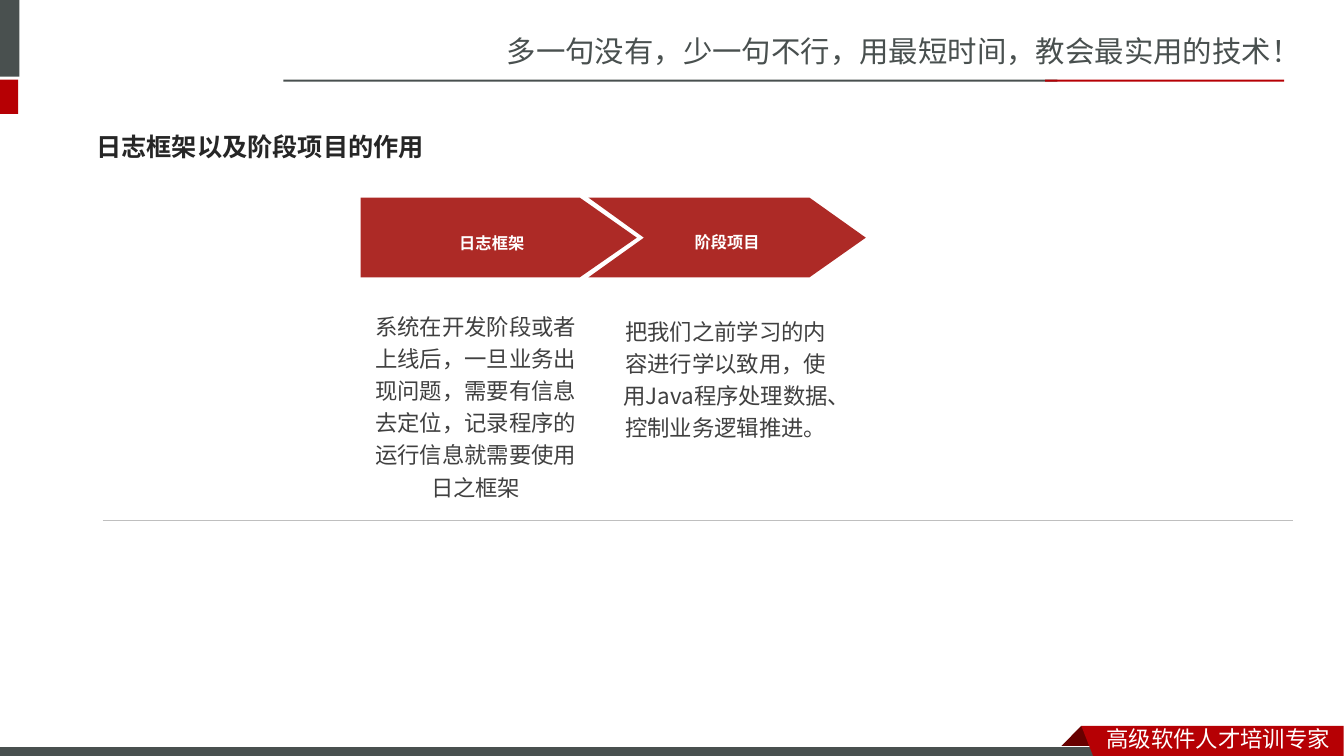
from lxml.etree import SubElement
from pptx import Presentation
from pptx.dml.color import RGBColor
from pptx.enum.lang import MSO_LANGUAGE_ID as Language
from pptx.enum.shapes import MSO_CONNECTOR as Connector, MSO_SHAPE as Shape
from pptx.enum.text import MSO_ANCHOR as Anchor, MSO_AUTO_SIZE as AutoSize, PP_ALIGN as Align
from pptx.oxml.ns import qn
from pptx.util import Cm, Pt

GREY, RED, DARK_RED, ARROW_RED = "49504F", "B60004", "680000", "AD2A26"
WHITE, INK, BODY, HAIRLINE = "FFFFFF", "262626", "404040", "BFBFBF"
SANS_SC, SANS_JP, MONO = "Noto Sans CJK SC", "Noto Sans CJK JP", "Noto Sans Mono"

LABEL = {"font": {"size": Pt(20), "bold": True, "name": SANS_JP}, "color": WHITE,
         "frame": {"vertical_anchor": Anchor.MIDDLE}, "baseline": "-3000"}
DETAIL = {"font": {"size": Pt(16), "name": SANS_JP}, "color": BODY,
          "para": {"alignment": Align.CENTER, "line_spacing": 1.2}}


def color(value):
    return RGBColor.from_string(value)


def apply(target, values):
    for name, value in values.items():
        setattr(target, name, value)


class SlideBuilder:
    """Draws styled elements on one slide, with lengths in centimetres."""

    def __init__(self, page):
        self.shapes = page.shapes

    def paint(self, shape, fill, line=None):
        shape.shadow.inherit = False
        shape.fill.solid()
        shape.fill.fore_color.rgb = color(fill)
        if line:
            shape.line.color.rgb = color(line)
            shape.line.width = Pt(0.75)
        else:
            shape.line.fill.background()

    def bar(self, left, top, width, height, fill, line=None):
        place = map(Cm, (left, top, width, height))
        self.paint(self.shapes.add_shape(Shape.RECTANGLE, *place), fill, line)

    def polygon(self, points, fill):
        start, *rest = [(Cm(x), Cm(y)) for x, y in points]
        builder = self.shapes.build_freeform(*start)
        builder.add_line_segments(rest, close=True)
        self.paint(builder.convert_to_shape(), fill)

    def arrow(self, left, shoulder, tip, notch=None):
        top, middle, bottom = 4.98, 5.99, 6.99
        points = [(left, top), (shoulder, top), (tip, middle),
                  (shoulder, bottom), (left, bottom)]
        if notch:
            points.append((notch, middle))
        self.polygon(points, ARROW_RED)

    def rule(self, left, right, y):
        line = self.shapes.add_connector(
            Connector.STRAIGHT, Cm(left), Cm(y), Cm(right), Cm(y))
        line.line.color.rgb = color(HAIRLINE)
        line.line.width = Pt(0.25)
        SubElement(line._element.spPr, qn("a:effectLst"))

    def text(self, words, place, style, **para_format):
        box = self.shapes.add_textbox(*map(Cm, place))
        frame = box.text_frame
        apply(frame, {"word_wrap": True, "auto_size": AutoSize.SHAPE_TO_FIT_TEXT,
                      **style.get("frame", {})})
        para = frame.paragraphs[0]
        apply(para, {**style.get("para", {}), **para_format})
        span = para.add_run()
        span.text = words
        apply(span.font, {"language_id": Language.SIMPLIFIED_CHINESE, **style["font"]})
        span.font.color.rgb = color(style["color"])
        properties = span._r.get_or_add_rPr()
        SubElement(properties, qn("a:ea"), typeface=style["font"]["name"])
        if "baseline" in style:
            properties.set("baseline", style["baseline"])


def main():
    deck = Presentation()
    apply(deck, {"slide_width": Cm(33.87), "slide_height": Cm(19.05)})
    slide = SlideBuilder(deck.slides.add_slide(deck.slide_layouts[6]))

    slide.text("多一句没有，少一句不行，用最短时间，教会最实用的技术！", (12.52, 0.71, 21.36, 1.19),
               {"font": {"size": Pt(21), "name": SANS_SC}, "color": GREY})
    slide.bar(-0.15, 0, 0.64, 1.93, GREY)
    slide.bar(-0.15, 2.01, 0.61, 0.86, RED)
    slide.bar(7.14, 2.01, 19.51, 0.05, GREY)
    slide.bar(26.34, 2.01, 6.02, 0.05, RED)

    slide.polygon([(27.25, 18.29), (27.81, 18.85), (27.79, 18.87),
                   (26.72, 18.87), (26.7, 18.85)], DARK_RED)
    slide.bar(-0.03, 18.82, 27.94, 0.3, GREY, WHITE)
    slide.polygon([(27.25, 18.29), (33.86, 18.29), (33.86, 19.15), (27.58, 19.13)], RED)
    slide.text("高级软件人才培训专家", (27.64, 18.16, 6.22, 0.94),
               {"font": {"size": Pt(16), "name": SANS_SC}, "color": WHITE})

    slide.arrow(9.09, 14.61, 16.05)
    slide.text("日志框架", (9.07, 5.56, 6.65, 0.84), LABEL, alignment=Align.CENTER)
    slide.arrow(14.83, 20.4, 21.82, notch=16.23)
    slide.text("阶段项目", (13.92, 5.41, 8.81, 0.91), LABEL,
               alignment=Align.CENTER, line_spacing=1.2)

    slide.rule(2.59, 32.59, 13.11)
    slide.text("把我们之前学习的内容进行学以致用，使用Java程序处理数据、控制业务逻辑推进。",
               (15.37, 7.75, 5.84, 3.53), DETAIL)
    slide.text("日志框架以及阶段项目的作用", (2.18, 2.97, 10.36, 1.45),
               {"font": {"size": Pt(18), "bold": True, "name": MONO}, "color": INK,
                "frame": {"vertical_anchor": Anchor.MIDDLE, "auto_size": AutoSize.NONE}},
               space_before=Pt(3.6))
    slide.text("系统在开发阶段或者上线后，一旦业务出现问题，需要有信息去定位，"
               "记录程序的运行信息就需要使用日之框架",
               (9.17, 7.62, 5.64, 5.16), DETAIL)
    deck.save("out.pptx")


if __name__ == "__main__":
    main()
